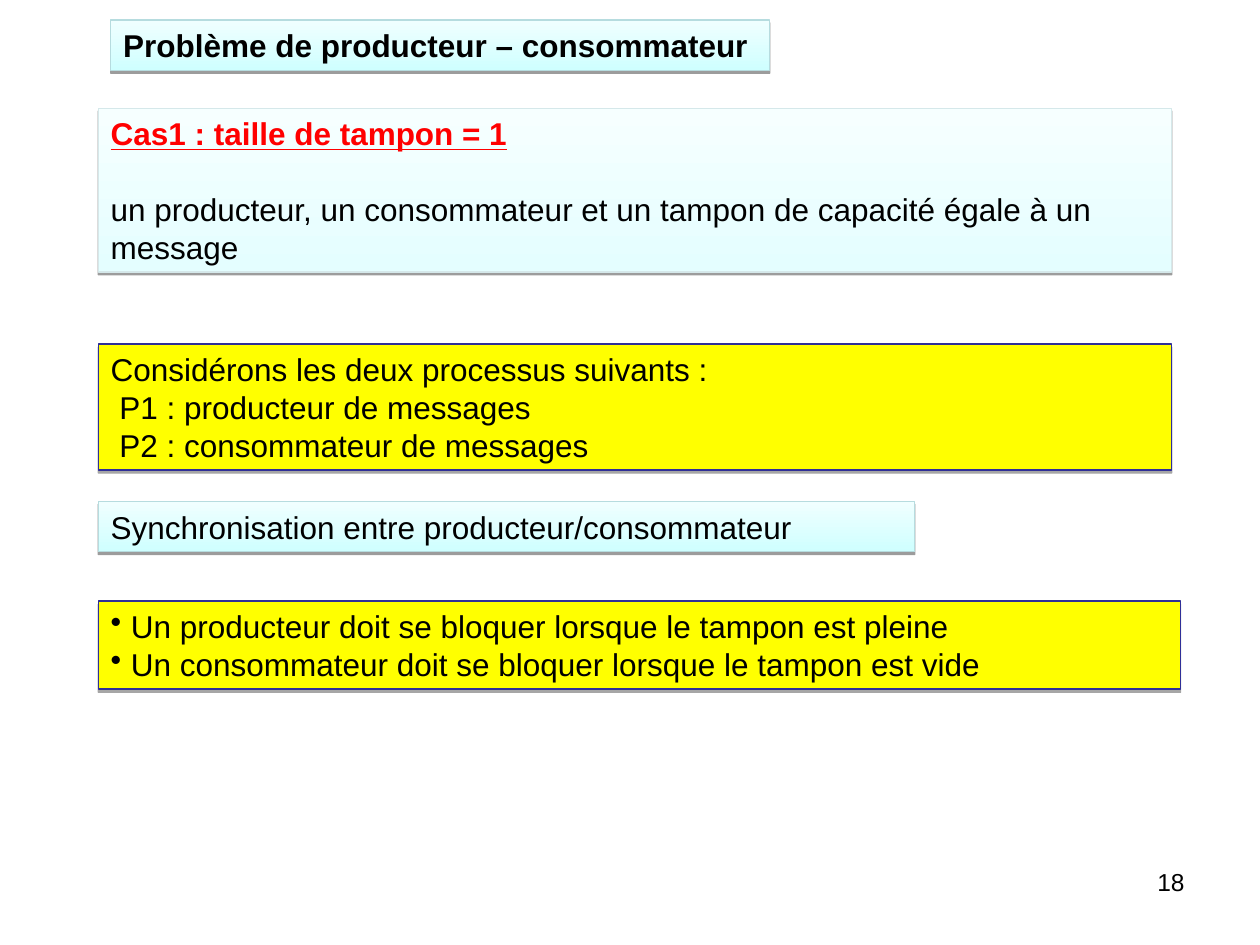
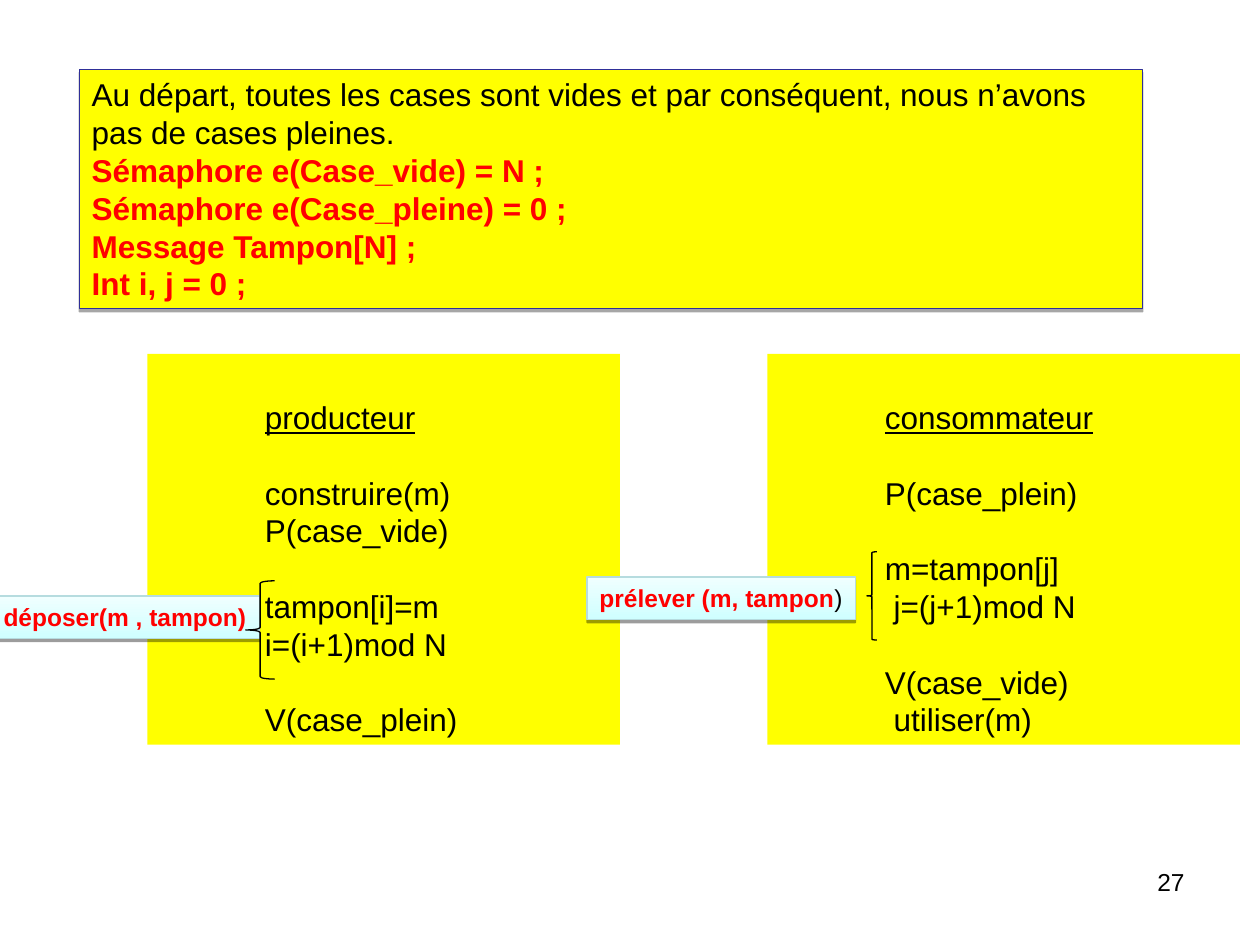
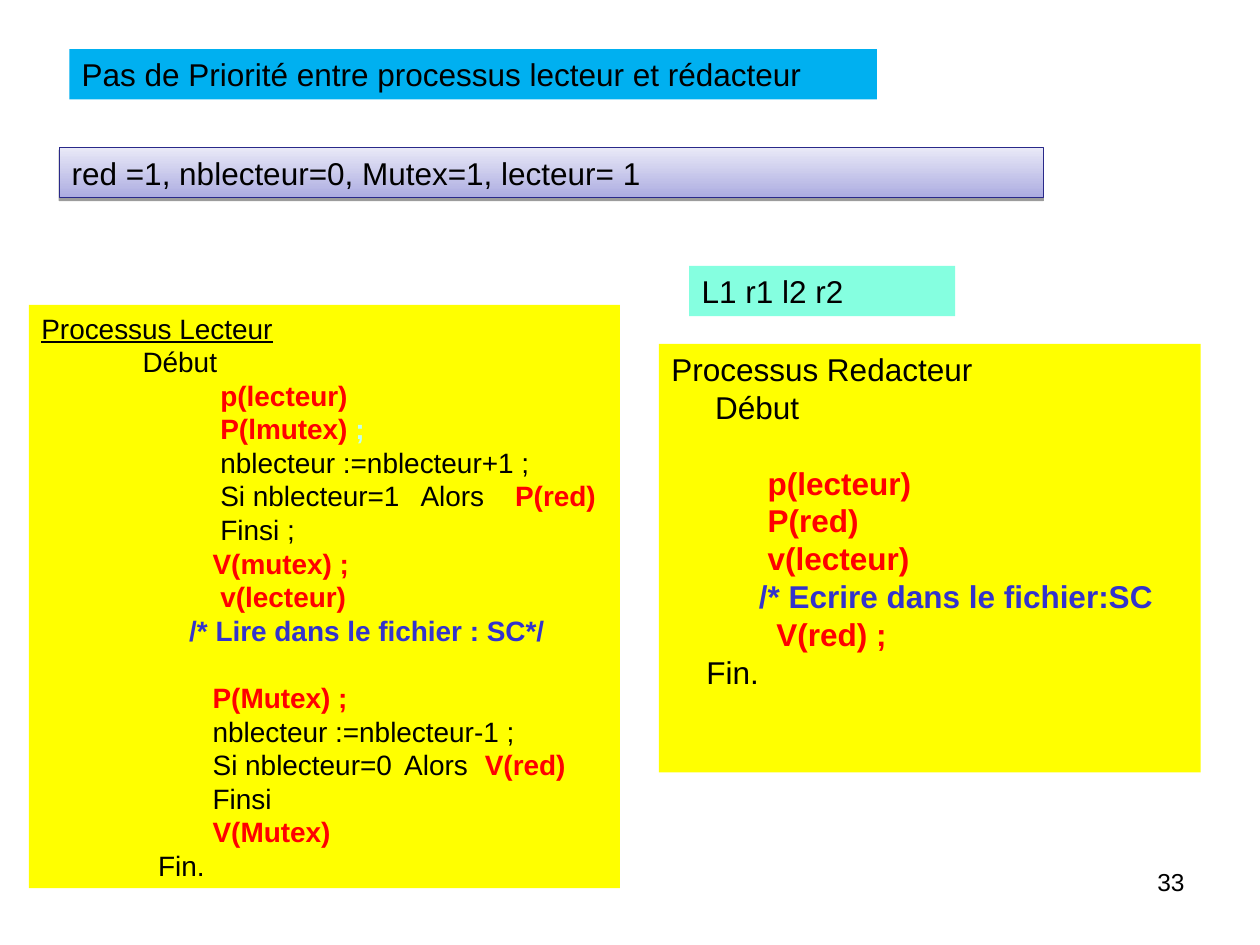
from pptx import Presentation
from pptx.dml.color import RGBColor
from pptx.enum.shapes import MSO_SHAPE
from pptx.enum.text import MSO_ANCHOR, PP_ALIGN
from pptx.oxml import parse_xml
from pptx.oxml.ns import nsdecls, qn
from pptx.util import Inches, Pt

RECTANGLE, BRACE = MSO_SHAPE.RECTANGLE, MSO_SHAPE.LEFT_BRACE
LEFT, RIGHT, TOP = PP_ALIGN.LEFT, PP_ALIGN.RIGHT, MSO_ANCHOR.TOP

FONT = "Arial"
LINE_HEIGHT = 1.2
SPACE_WIDTH = 0.278
BULLET_INDENT = 0.16
BLACK, RED, BLUE, PALE = "000000", "FF0000", "3333CC", "C2FFF0"

PANELS = {
    "cyan": dict(fill=("F0FFFF", "CFFFFF"), line="B6DCDF", shadow=(38, 1.6)),
    "pale": dict(fill=("F6FFFF", "E4FEFF"), line="D5E8EA", shadow=(38, 1.6)),
    "violet": dict(fill=("E9E9F7", "ACACE1"), line="292989", shadow=(38, 1.6)),
    "framed": dict(fill=("FFFF00",), line="2F2F98", shadow=(35, 1.8)),
    "yellow": dict(fill=("FFFF00",)),
    "sky": dict(fill=("00B0F0",)),
    "mint": dict(fill=("85FFE0",)),
}


def plain(text):
    return text, BLACK, False, False


def red(text):
    return text, RED, True, False


def blue(text):
    return text, BLUE, True, False


def underlined(text, color=BLACK, bold=False):
    return text, color, bold, True


def line(*runs, indent=0, blank=0, tabs=(), bullet=False):
    return dict(runs=runs, indent=indent, blank=blank, tabs=tabs, bullet=bullet)


LECTEUR = [
    line(underlined("Processus Lecteur")),
    line(plain("Début"), indent=13),
    line(red("p(lecteur)"), indent=23),
    line(red("P(lmutex) "), (";", PALE, True, False), indent=23),
    line(plain("nblecteur :=nblecteur+1 ;"), indent=23),
    line(plain("\tSi nblecteur=1\tAlors\t"), red("P(red)"), tabs=(1.42, 3.01, 3.76)),
    line(plain("Finsi ;"), indent=23),
    line(red("V(mutex) ;"), indent=22),
    line(red("v(lecteur)"), indent=23),
    line(blue("/* Lire dans le fichier : SC*/"), indent=19),
    line(red("P(Mutex) ;"), indent=22, blank=1),
    line(plain("nblecteur :=nblecteur-1 ;"), indent=22),
    line(plain("\tSi nblecteur=0\tAlors\t"), red("V(red)"), tabs=(1.36, 2.88, 3.52)),
    line(plain("Finsi"), indent=22),
    line(red("V(Mutex)"), indent=22),
    line(plain("Fin."), indent=15),
]
REDACTEUR = [
    line(plain("Processus Redacteur")),
    line(plain("Début"), indent=5),
    line(red("p(lecteur)"), indent=11, blank=1),
    line(red("P(red)"), indent=11),
    line(red("v(lecteur)"), indent=11),
    line(blue("/* Ecrire dans le fichier:SC"), indent=10),
    line(red("V(red) ;"), indent=12),
    line(plain("Fin."), indent=4),
]
PRODUCTEUR = [
    line(underlined("producteur"), indent=12, blank=1),
    line(plain("construire(m)"), indent=12, blank=1),
    line(plain("P(case_vide)"), indent=12),
    line(plain("tampon[i]=m"), indent=12, blank=1),
    line(plain("i=(i+1)mod N"), indent=12),
    line(plain("V(case_plein)"), indent=12, blank=1),
]
CONSOMMATEUR = [
    line(underlined("consommateur"), indent=12, blank=1),
    line(plain("P(case_plein)"), indent=12, blank=1),
    line(plain("m=tampon[j]"), indent=12, blank=1),
    line(plain("j=(j+1)mod N"), indent=13),
    line(plain("V(case_vide)"), indent=12, blank=1),
    line(plain("utiliser(m)"), indent=13),
]

SLIDES = [
    dict(number="18", panels=[
        ("cyan", (0.88, 0.16, 5.23, 0.4), 18, [
            line(("Problème de producteur – consommateur", BLACK, True, False))]),
        ("pale", (0.78, 0.86, 8.52, 1.3), 18, [
            line(underlined("Cas1 : taille de tampon = 1", RED, True)),
            line(plain("un producteur, un consommateur et un tampon de capacité "
                       "égale à un message"), blank=1)]),
        ("framed", (0.78, 2.73, 8.52, 1), 18, [
            line(plain("Considérons les deux processus suivants :")),
            line(plain("P1 : producteur de messages"), indent=1),
            line(plain("P2 : consommateur de messages"), indent=1)]),
        ("framed", (0.78, 4.77, 8.59, 0.7), 18, [
            line(plain("Un producteur doit se bloquer lorsque le tampon est pleine"),
                 bullet=True),
            line(plain("Un consommateur doit se bloquer lorsque le tampon est vide"),
                 bullet=True)]),
        ("cyan", (0.78, 3.98, 6.48, 0.4), 18, [
            line(plain("Synchronisation entre producteur/consommateur"))]),
    ]),
    dict(number="27", panels=[
        ("framed", (0.63, 0.55, 8.44, 1.9), 18, [
            line(plain("Au départ, toutes les cases sont vides et par conséquent, "
                       "nous n’avons pas de cases pleines.")),
            line(red("Sémaphore e(Case_vide) = N ;")),
            line(red("Sémaphore e(Case_pleine) = 0 ;")),
            line(red("Message Tampon[N] ;")),
            line(red("Int i, j = 0 ;"))]),
        ("yellow", (1.17, 2.81, 3.75, 3.1), 18, PRODUCTEUR),
        ("yellow", (6.09, 2.81, 3.75, 3.1), 18, CONSOMMATEUR),
        ("cyan", (-0.07, 4.73, 2.13, 0.34), 14, [line(red("déposer(m , tampon)"))]),
        ("cyan", (4.66, 4.58, 2.13, 0.34), 14, [
            line(red("prélever (m, tampon"), plain(")"))]),
    ], braces=[(1.95, 4.61, 0.23, 0.78), (6.88, 4.38, 0.08, 0.7)]),
    dict(number="33", panels=[
        ("yellow", (0.23, 2.42, 4.69, 4.63), 16, LECTEUR),
        ("yellow", (5.23, 2.73, 4.3, 3.4), 18, REDACTEUR),
        ("sky", (0.55, 0.39, 6.41, 0.4), 18, [
            line(plain("Pas de Priorité entre processus lecteur et rédacteur"))]),
        ("violet", (0.47, 1.17, 7.81, 0.4), 18, [
            line(plain("red =1, nblecteur=0, Mutex=1, lecteur= 1"))]),
        ("mint", (5.47, 2.11, 2.11, 0.4), 18, [line(plain("L1 r1 l2 r2"))]),
    ]),
]


def rgb(color):
    return RGBColor.from_string(color)


def box(place):
    return [Inches(length) for length in place]


def set_layout(paragraph, entry, size):
    properties = paragraph._p.get_or_add_pPr()
    margin = entry["indent"] * SPACE_WIDTH * size / 72
    if entry["bullet"]:
        margin = BULLET_INDENT
        properties.set("indent", str(-Inches(margin)))
        properties.append(parse_xml(f'<a:buChar {nsdecls("a")} char="•"/>'))
    properties.set("marL", str(Inches(margin)))
    if entry["tabs"]:
        stops = "".join(f'<a:tab pos="{Inches(stop)}" algn="l"/>' for stop in entry["tabs"])
        properties.append(parse_xml(f'<a:tabLst {nsdecls("a")}>{stops}</a:tabLst>'))


def write(frame, lines, size, align=LEFT):
    pitch = LINE_HEIGHT * size
    frame.word_wrap = True
    frame.vertical_anchor = TOP
    frame.margin_left = frame.margin_right = Inches(0.1)
    frame.margin_bottom = Inches(0.05)
    frame.margin_top = Inches(0.05) + Pt(lines[0]["blank"] * pitch)
    for index, entry in enumerate(lines):
        paragraph = frame.add_paragraph() if index else frame.paragraphs[0]
        set_layout(paragraph, entry, size)
        paragraph.alignment = align
        paragraph.line_spacing = Pt(pitch)
        if index and entry["blank"]:
            paragraph.space_before = Pt(entry["blank"] * pitch)
        for text, color, bold, underline in entry["runs"]:
            run = paragraph.add_run()
            run.text = text
            font = run.font
            font.name, font.size = FONT, Pt(size)
            font.bold, font.underline = bold, underline
            font.color.rgb = rgb(color)


def paint(shape, fill, line=None, shadow=None):
    if len(fill) == 1:
        shape.fill.solid()
        shape.fill.fore_color.rgb = rgb(fill[0])
    else:
        shape.fill.gradient()
        shape.fill.gradient_angle = 270
        for stop, color in zip(shape.fill.gradient_stops, fill):
            stop.color.rgb = rgb(color)
    if line:
        shape.line.color.rgb = rgb(line)
        shape.line.width = Pt(0.75)
    else:
        shape.line.fill.background()
    shape.shadow.inherit = False
    if shadow:
        opacity, distance = shadow
        shape._element.spPr.find(qn("a:effectLst")).append(parse_xml(
            f'<a:outerShdw {nsdecls("a")} blurRad="0" dist="{Pt(distance)}" dir="5400000" '
            f'rotWithShape="0"><a:srgbClr val="{BLACK}"><a:alpha val="{opacity * 1000}"/>'
            '</a:srgbClr></a:outerShdw>'))


def add_panel(slide, style, place, size, lines):
    panel = slide.shapes.add_shape(RECTANGLE, *box(place))
    paint(panel, **PANELS[style])
    write(panel.text_frame, lines, size)


def add_brace(slide, place):
    brace = slide.shapes.add_shape(BRACE, *box(place))
    brace.fill.background()
    brace.line.color.rgb = rgb(BLACK)
    brace.line.width = Pt(0.75)
    brace.shadow.inherit = False


def add_number(slide, number):
    footer = slide.shapes.add_textbox(*box((7.17, 6.83, 2.33, 0.52)))
    write(footer.text_frame, [line(plain(number))], 14, RIGHT)


def main():
    deck = Presentation()
    deck.slide_width, deck.slide_height = Inches(10), Inches(7.5)
    for content in SLIDES:
        slide = deck.slides.add_slide(deck.slide_layouts[6])
        add_number(slide, content["number"])
        for panel in content["panels"]:
            add_panel(slide, *panel)
        for place in content.get("braces", ()):
            add_brace(slide, place)
    deck.save("out.pptx")


if __name__ == "__main__":
    main()
